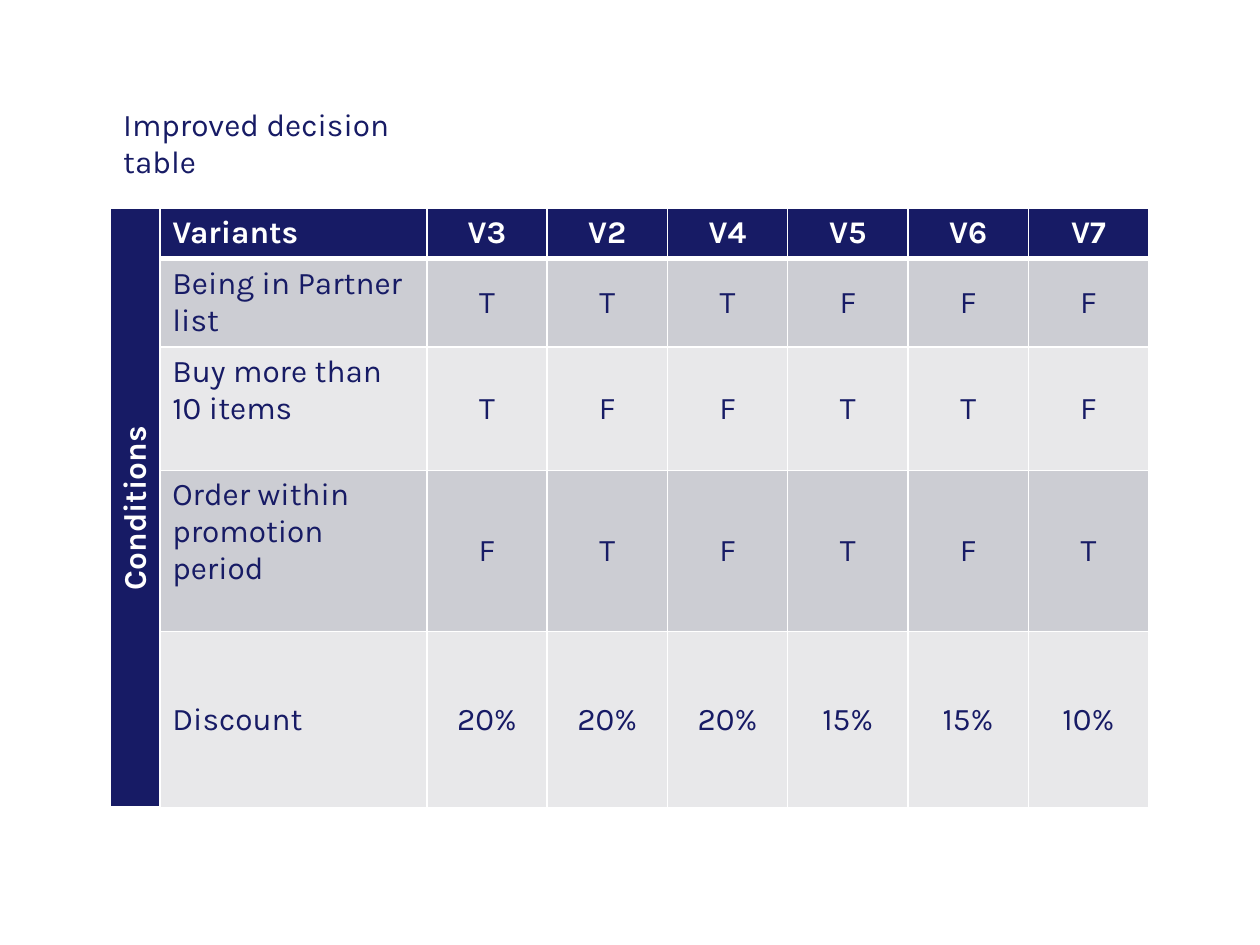
from dataclasses import dataclass

from lxml import etree
from pptx import Presentation
from pptx.dml.color import RGBColor
from pptx.enum.text import MSO_ANCHOR, MSO_AUTO_SIZE, PP_ALIGN
from pptx.oxml.ns import qn
from pptx.util import Pt

LEFT, CENTER = PP_ALIGN.LEFT, PP_ALIGN.CENTER
TOP, MIDDLE = MSO_ANCHOR.TOP, MSO_ANCHOR.MIDDLE
GROW = MSO_AUTO_SIZE.SHAPE_TO_FIT_TEXT
TITLE_ONLY = 5


@dataclass(frozen=True)
class Theme:
    """Colours and type of the slide."""
    font: str = "Karla"
    size: int = 18
    navy: str = "171B65"
    white: str = "FFFFFF"
    bands: tuple = ("CCCDD3", "E8E8EA")
    rule: int = 1
    header_rule: int = 3


THEME = Theme()
ROWS = [
    ("Variants", "V3", "V2", "V4", "V5", "V6", "V7"),
    ("Being in Partner list", "T", "T", "T", "F", "F", "F"),
    ("Buy more than 10 items", "T", "F", "F", "T", "T", "F"),
    ("Order within promotion period", "F", "T", "F", "T", "F", "T"),
    ("Discount", "20%", "20%", "20%", "15%", "15%", "10%"),
]
LABEL_ANCHORS = (TOP, MIDDLE, TOP, TOP, MIDDLE)
ROW_HEIGHTS = (27.5, 49.7, 70.6, 92, 99.8)
SIDE_WIDTH, LABEL_WIDTH = 28.1, 152.6


def style_text(tf, color, bold, align):
    """Format all the text of a frame."""
    for p in tf.paragraphs:
        p.alignment = align
        for r in p.runs:
            r.font.name = THEME.font
            r.font.size = Pt(THEME.size)
            r.font.bold = bold
            r.font.color.rgb = RGBColor.from_string(color)


def set_borders(cell, bottom):
    """Draw white borders round a cell, with the given bottom width."""
    tc_pr = cell._tc.get_or_add_tcPr()
    rule = THEME.rule
    for side, width in zip("LRTB", (rule, rule, rule, bottom)):
        ln = etree.SubElement(tc_pr, qn(f"a:ln{side}"), w=str(Pt(width)))
        fill = etree.SubElement(ln, qn("a:solidFill"))
        etree.SubElement(fill, qn("a:srgbClr"), val=THEME.white)


def fill_cell(cell, text, fill, color, bold, align, anchor, bottom):
    """Write and format one table cell."""
    cell.text_frame.text = text
    style_text(cell.text_frame, color, bold, align)
    cell.vertical_anchor = anchor
    set_borders(cell, bottom)
    cell.fill.solid()
    cell.fill.fore_color.rgb = RGBColor.from_string(fill)


def add_title(slide, text, x, y, w, h):
    """Place the title in its box."""
    sp = slide.shapes.title
    sp.left, sp.top, sp.width, sp.height = Pt(x), Pt(y), Pt(w), Pt(h)
    tf = sp.text_frame
    tf.text = text
    tf.word_wrap = True
    tf.auto_size = GROW
    tf.vertical_anchor = TOP
    style_text(tf, THEME.navy, False, LEFT)


def add_decision_table(slide, x, y, w, h):
    """Place the decision table in its box."""
    n_variants = len(ROWS[0]) - 1
    table = slide.shapes.add_table(
        len(ROWS), n_variants + 2, Pt(x), Pt(y), Pt(w), Pt(h)).table
    variant_width = (w - SIDE_WIDTH - LABEL_WIDTH) / n_variants
    widths = [SIDE_WIDTH, LABEL_WIDTH] + [variant_width] * n_variants
    for column, width in zip(table.columns, widths):
        column.width = Pt(width)
    for row, height in zip(table.rows, ROW_HEIGHTS):
        row.height = Pt(height)

    side = table.cell(0, 0)
    side.merge(table.cell(len(ROWS) - 1, 0))
    fill_cell(side, "Conditions", THEME.navy, THEME.white, True, CENTER, TOP,
              THEME.header_rule)
    side._tc.get_or_add_tcPr().set("vert", "vert270")

    for i, values in enumerate(ROWS):
        header = i == 0
        fill = THEME.navy if header else THEME.bands[(i - 1) % 2]
        color = THEME.white if header else THEME.navy
        bottom = THEME.header_rule if header else THEME.rule
        for j, value in enumerate(values):
            label = j == 0
            anchor = LABEL_ANCHORS[i] if label else TOP if header else MIDDLE
            fill_cell(table.cell(i, j + 1), value, fill, color, header,
                      LEFT if label else CENTER, anchor, bottom)


def main():
    """Build and save the slide."""
    prs = Presentation()
    prs.slide_width, prs.slide_height = Pt(720), Pt(540)
    slide = prs.slides.add_slide(prs.slide_layouts[TITLE_ONLY])
    add_title(slide, "Improved decision table", 63.2, 56.2, 206.6, 28.8)
    add_decision_table(slide, 63.2, 119, 593.2, sum(ROW_HEIGHTS))
    prs.save("out.pptx")


if __name__ == "__main__":
    main()
